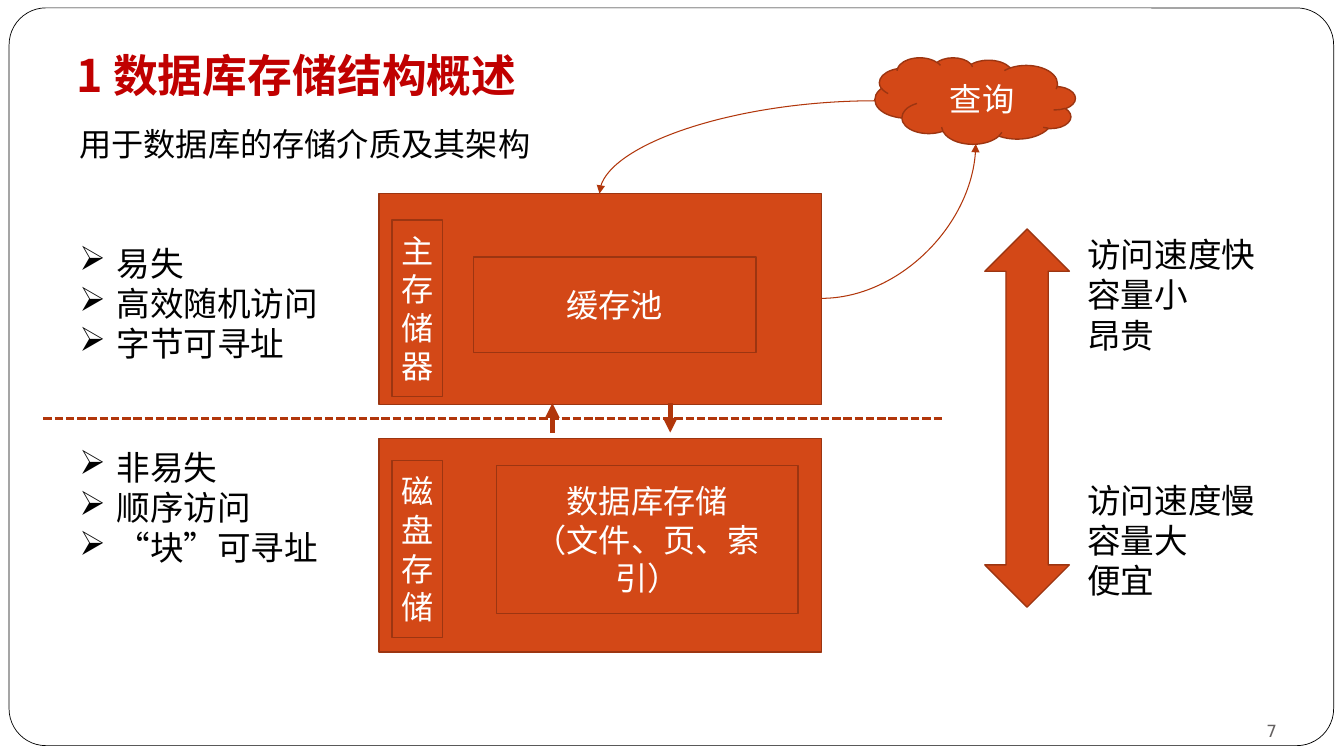
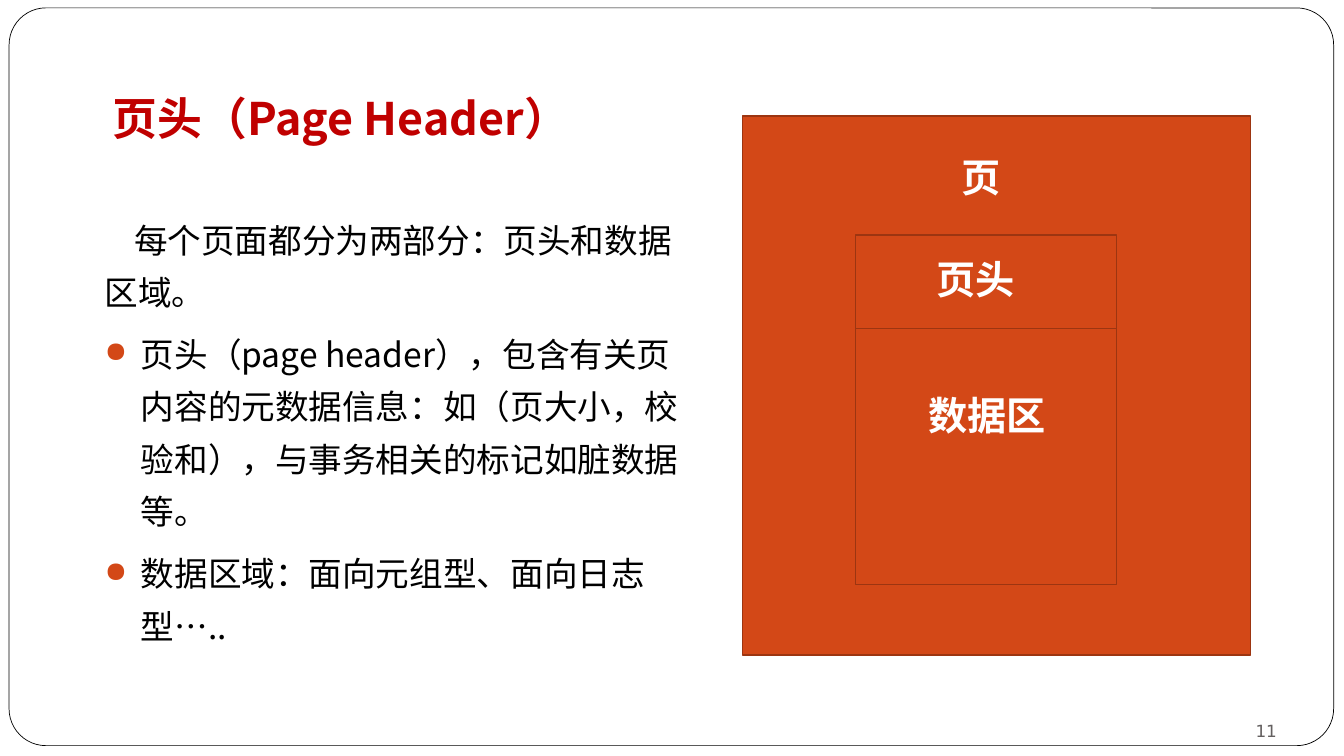
import pptx
import pptx.util
import pptx.dml.color
import pptx.enum.dml
import pptx.enum.shapes
import pptx.enum.text
import pptx.oxml.ns
import lxml.etree

Cm = pptx.util.Cm
Pt = pptx.util.Pt
RGBColor = pptx.dml.color.RGBColor
SHAPE = pptx.enum.shapes.MSO_SHAPE
LINK = pptx.enum.shapes.MSO_CONNECTOR
ALIGN = pptx.enum.text.PP_ALIGN
ANCHOR = pptx.enum.text.MSO_ANCHOR
qn = pptx.oxml.ns.qn

WHITE = RGBColor(0xFF, 0xFF, 0xFF)
BLACK = RGBColor(0x00, 0x00, 0x00)
TITLE_RED = RGBColor(0xC0, 0x00, 0x00)
ORANGE = RGBColor(0xD3, 0x48, 0x17)
BLOCK_EDGE = RGBColor(0x9C, 0x35, 0x11)
LINK_RED = RGBColor(0xB1, 0x36, 0x0B)
NUMBER_GREY = RGBColor(0x64, 0x60, 0x60)

SANS = "Noto Sans CJK SC"
SERIF = "Times New Roman"

TITLE = {
    "color": TITLE_RED,
    "font": {"name": SANS, "size": Pt(32), "bold": True},
    "frame": {"vertical_anchor": ANCHOR.BOTTOM, "margin_left": Cm(0.3), "margin_right": Cm(0.3),
              "margin_top": Cm(0.15), "margin_bottom": Cm(0.3)},
}
NUMBER = {
    "color": NUMBER_GREY,
    "font": {"name": "DejaVu Sans", "size": Pt(12)},
    "paragraph": {"alignment": ALIGN.RIGHT},
    "frame": {"vertical_anchor": ANCHOR.BOTTOM, "margin_left": 0, "margin_right": 0,
              "margin_top": 0, "margin_bottom": 0},
}
NOTE = {"color": BLACK, "font": {"name": SANS, "size": Pt(24)}}
FEATURE = {**NOTE, "bullet": "➢", "indent": (0.94, -0.94)}
SUBTITLE = {"color": BLACK, "font": {"name": SERIF, "size": Pt(23)}, "frame": {"word_wrap": False}}
BLOCK_LABEL = {
    "color": WHITE,
    "font": {"name": SANS, "size": Pt(23)},
    "paragraph": {"alignment": ALIGN.CENTER},
    "frame": {"vertical_anchor": ANCHOR.MIDDLE},
}
PAGE_LABEL = {"color": WHITE, "font": {"name": SERIF, "size": Pt(28), "bold": True}}
BODY = {
    **NOTE,
    "paragraph": {"line_spacing": 1.3, "space_before": Pt(6.9)},
    "frame": {"margin_left": Cm(0.3), "margin_right": Cm(0.3),
              "margin_top": Cm(0.15), "margin_bottom": Cm(0.15)},
}
BODY_LEAD = {**BODY, "indent": (0, 0.74)}
BODY_ITEM = {**BODY, "indent": (0.91, -0.91), "bullet": "●",
             "bullet_color": ORANGE, "bullet_percent": 85}


def write_text(shape, *entries):
    """Fill a shape with (line, style) entries; the first style formats the frame."""
    frame = shape.text_frame
    frame.word_wrap = True
    for name, value in entries[0][1].get("frame", {}).items():
        setattr(frame, name, value)
    for index, (line, style) in enumerate(entries):
        paragraph = frame.add_paragraph() if index else frame.paragraphs[0]
        run = paragraph.add_run()
        run.text = line
        for target, group in ((paragraph, "paragraph"), (run.font, "font")):
            for name, value in style.get(group, {}).items():
                setattr(target, name, value)
        run.font.color.rgb = style["color"]
        east_asian = lxml.etree.SubElement(run._r.get_or_add_rPr(), qn("a:ea"))
        east_asian.set("typeface", SANS)
        properties = paragraph._p.get_or_add_pPr()
        for name, length in zip(("marL", "indent"), style.get("indent", ())):
            properties.set(name, str(Cm(length)))
        if "bullet_color" in style:
            color = lxml.etree.SubElement(properties, qn("a:buClr"))
            lxml.etree.SubElement(color, qn("a:srgbClr")).set("val", str(style["bullet_color"]))
            size = lxml.etree.SubElement(properties, qn("a:buSzPct"))
            size.set("val", str(style["bullet_percent"] * 1000))
        if "bullet" in style:
            lxml.etree.SubElement(properties, qn("a:buChar")).set("char", style["bullet"])


def add_block(slide, box, lines=(), kind=SHAPE.RECTANGLE, fill=ORANGE, edge=BLOCK_EDGE, width=1):
    block = slide.shapes.add_shape(kind, *map(Cm, box))
    block.shadow.inherit = False
    block.fill.solid()
    block.fill.fore_color.rgb = fill
    block.line.color.rgb = edge
    block.line.width = Pt(width)
    if lines:
        write_text(block, *((line, BLOCK_LABEL) for line in lines))
    return block


deck = pptx.Presentation()
deck.slide_width, deck.slide_height = Cm(33.87), Cm(19.05)
blank = deck.slide_layouts[6]
storage = deck.slides.add_slide(blank)
page = deck.slides.add_slide(blank)

# The rounded border belongs to the layout, so both slides inherit it
border = add_block(storage, (0.23, 0.2, 33.38, 18.59), kind=SHAPE.ROUNDED_RECTANGLE,
                   fill=WHITE, edge=BLACK, width=0.5)
border.adjustments[0] = 0.05
blank.shapes.element.append(border.element)

for slide, title, title_box, number in (
    (storage, "1 数据库存储结构概述", (1.63, 0.69, 30.48, 2.18), "7"),
    (page, "页头（Page Header）", (2.54, 1.57, 28.78, 2.36), "11"),
):
    for line, box, style in ((title, title_box, TITLE),
                             (number, (29.36, 17.65, 2.82, 1.02), NUMBER)):
        write_text(slide.shapes.add_textbox(*map(Cm, box)), (line, style))

# Storage hierarchy
for box, lines in (
    ((9.55, 4.88, 11.15, 5.31), ()),
    ((9.55, 11.05, 11.15, 5.38), ()),
    ((9.88, 5.54, 1.27, 4.45), ["主存储器"]),
    ((9.88, 11.61, 1.27, 4.45), ["磁盘存储"]),
    ((11.94, 6.48, 7.11, 2.41), ["缓存池"]),
    ((12.52, 11.73, 7.59, 3.73), ["数据库存储", "（文件、页、索引）"]),
):
    add_block(storage, box, lines)
add_block(storage, (24.82, 5.77, 2.13, 9.53), kind=SHAPE.UP_DOWN_ARROW)
query = add_block(storage, (22.05, 1.45, 5.05, 2.18), ["查询"], kind=SHAPE.CLOUD)
query.element.xpath(".//a:xfrm")[0].set("flipH", "1")

for kind, ends, width, has_head in (
    (LINK.STRAIGHT, (13.92, 10.9, 13.92, 10.16), 3.5, True),
    (LINK.STRAIGHT, (16.89, 10.16, 16.89, 10.9), 3.5, True),
    (LINK.STRAIGHT, (1.09, 10.54, 23.8, 10.54), 2, False),
    (LINK.CURVE, (22.07, 2.54, 15.11, 4.88), 0.75, True),
    (LINK.CURVE, (20.7, 7.52, 24.59, 3.63), 0.75, True),
):
    link = storage.shapes.add_connector(kind, *map(Cm, ends))
    link.line.color.rgb = LINK_RED
    link.line.width = Pt(width)
    if kind == LINK.CURVE:
        link.element.xpath(".//a:prstGeom")[0].set("prst", "curvedConnector2")
    if has_head:
        outline = link.element.xpath(".//a:ln")[0]
        lxml.etree.SubElement(outline, qn("a:tailEnd")).set("type", "triangle")
    else:
        link.line.dash_style = pptx.enum.dml.MSO_LINE.SQUARE_DOT
    lxml.etree.SubElement(link.element.spPr, qn("a:effectLst"))

for box, lines, style in (
    ((1.75, 3.02, 11.99, 1.24), ["用于数据库的存储介质及其架构"], SUBTITLE),
    ((1.75, 5.99, 6.68, 3.33), ["易失", "高效随机访问", "字节可寻址"], FEATURE),
    ((1.75, 11.13, 6.68, 3.33), ["非易失", "顺序访问", "“块”可寻址"], FEATURE),
    ((27.15, 5.77, 6.1, 3.33), ["访问速度快", "容量小", "昂贵"], NOTE),
    ((27.15, 11.96, 6.1, 3.33), ["访问速度慢", "容量大", "便宜"], NOTE),
):
    write_text(storage.shapes.add_textbox(*map(Cm, box)), *((line, style) for line in lines))

# Page structure
write_text(
    page.shapes.add_textbox(*map(Cm, (2.34, 5.08, 15.44, 12.09))),
    ("每个页面都分为两部分：页头和数据区域。", BODY_LEAD),
    ("页头（page header），包含有关页内容的元数据信息：如（页大小，校验和），"
     "与事务相关的标记如脏数据等。", BODY_ITEM),
    ("数据区域：面向元组型、面向日志型…..", BODY_ITEM),
)
for part_box, label, label_box in (
    ((18.72, 2.92, 12.8, 13.59), "页", (23.98, 3.73, 2.8, 1.45)),
    ((21.56, 5.92, 6.58, 2.36), "页头", (23.34, 6.32, 2.8, 1.45)),
    ((21.56, 8.28, 6.58, 6.45), "数据区", (23.14, 9.73, 4.39, 1.45)),
):
    add_block(page, part_box)
    write_text(page.shapes.add_textbox(*map(Cm, label_box)), (label, PAGE_LABEL))

deck.save("out.pptx")
